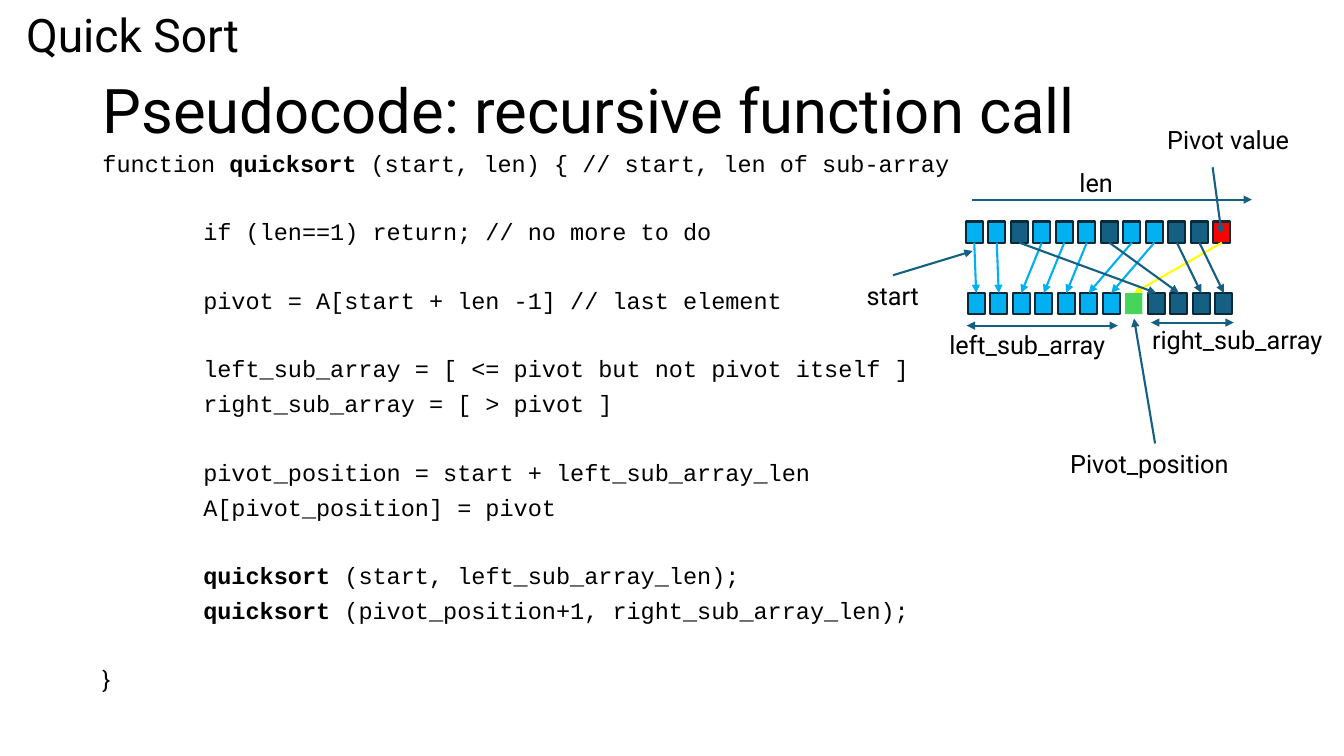
"""Build the quick sort pseudocode slide."""
from dataclasses import dataclass
from typing import Any

from lxml import etree
from pptx import Presentation
from pptx import util as u
from pptx.dml import color
from pptx.enum import shapes, text
from pptx.oxml import ns

HUES = {"b": "00B0F0", "d": "156082", "r": "FF0000", "g": "47D45A",
        "y": "FFFF00", "edge": "092A39", "ink": "000000"}
SANS, MONO = "Roboto", "Courier New"
TOP = "bbdbbbdbbddr"
STEP, WIDE, HIGH = 16.08, 12.24, 15.12
ROWS = ((689.8, 158.2), (691.2, 209.3))
LINE, GAP = 10.8, 34.9


@dataclass
class Code:
    lead: str
    bold: str
    rest: str
    tab: int = 72
    gap: float = LINE
    face: str = MONO


@dataclass
class Label:
    words: str
    left: float
    top: float
    width: float


@dataclass
class Arrow:
    start: tuple[float, float]
    end: tuple[float, float]
    hue: str = "d"
    both: bool = False


CODE = [
    Code("function ", "quicksort", " (start, len) { // start, len of sub-array", 0, 0),
    Code("if (len==1) return; // no more to do", "", "", gap=GAP),
    Code("pivot = A[start + len -1] // last element", "", "", gap=GAP),
    Code("left_sub_array = [ <= pivot but not pivot itself ]", "", "", gap=GAP),
    Code("right_sub_array = [ > pivot ]", "", ""),
    Code("pivot_position = start + left_sub_array_len", "", "", gap=GAP),
    Code("A[pivot_position] = pivot", "", ""),
    Code("", "quicksort", " (start, left_sub_array_len);", gap=GAP),
    Code("", "quicksort", " (pivot_position+1, right_sub_array_len);"),
    Code("}", "", "", 0, GAP, SANS),
]
LABELS = [
    Label("len", 763.9, 115.9, 40),
    Label("start", 612, 196.6, 53),
    Label("Pivot value", 826.6, 85, 110),
    Label("right_sub_array", 815.8, 228.2, 139),
    Label("left_sub_array", 671, 231.8, 138),
    Label("Pivot_position", 757.4, 316.8, 136),
]
ARROWS = [
    Arrow((694.1, 142.6), (894.2, 142.6)),
    Arrow((637.9, 196.6), (694.8, 179.3)),
    Arrow((866.2, 119.5), (872.6, 167)),
    Arrow((822.2, 230.4), (881.3, 230.4), both=True),
    Arrow((690.5, 232.6), (798.5, 232.6), both=True),
    Arrow((825.1, 316.8), (810, 227.5)),
]


def rgb(hue: str) -> color.RGBColor:
    """Return a named colour."""
    return color.RGBColor.from_string(HUES[hue])


def dress(item: Any, form: dict[str, Any]) -> None:
    """Set each format value on an object."""
    for key, value in form.items():
        setattr(item, key, value)


def place(item: Any, left: float, top: float, width: float, height: float) -> None:
    """Move and size a shape in points."""
    dress(item, {"left": u.Pt(left), "top": u.Pt(top),
                 "width": u.Pt(width), "height": u.Pt(height)})


def write(para: Any, words: str, size: float, face: str = SANS, bold: bool = False) -> None:
    """Add one formatted run."""
    run = para.add_run()
    run.text = words
    dress(run.font, {"size": u.Pt(size), "name": face, "bold": bold})
    run.font.color.rgb = rgb("ink")


def head(item: Any, words: str, size: float, space: float) -> None:
    """Fill a heading with one left aligned line."""
    dress(item.text_frame, {"word_wrap": True, "auto_size": text.MSO_AUTO_SIZE.NONE,
                            "vertical_anchor": text.MSO_ANCHOR.MIDDLE})
    para = item.text_frame.paragraphs[0]
    dress(para, {"alignment": text.PP_ALIGN.LEFT, "line_spacing": space})
    write(para, words, size)


def list_code(body: Any) -> None:
    """Write the pseudocode lines in the body."""
    frame = body.text_frame
    dress(frame, {"word_wrap": True, "auto_size": text.MSO_AUTO_SIZE.NONE,
                  "vertical_anchor": text.MSO_ANCHOR.TOP})
    for num, line in enumerate(CODE):
        para = frame.add_paragraph() if num else frame.paragraphs[0]
        prop = para._p.get_or_add_pPr()
        prop.set("marL", str(u.Pt(line.tab)))
        prop.set("indent", "0")
        etree.SubElement(prop, ns.qn("a:buNone"))
        dress(para, {"line_spacing": 0.7, "space_before": u.Pt(line.gap),
                     "space_after": u.Pt(0), "alignment": text.PP_ALIGN.LEFT})
        for words, bold in ((line.lead, False), (line.bold, True), (line.rest, False)):
            if words:
                write(para, words, 16.8, line.face, bold)


def draw_cell(tree: Any, row: int, col: int, hue: str) -> None:
    """Draw one array element."""
    left, top = ROWS[row]
    cell = tree.add_shape(shapes.MSO_SHAPE.RECTANGLE, 0, 0, 0, 0)
    place(cell, left + col * STEP, top, WIDE, HIGH)
    cell.shadow.inherit = False
    cell.fill.solid()
    cell.fill.fore_color.rgb = rgb(hue)
    if hue == "g":
        cell.line.fill.background()
    else:
        cell.line.color.rgb = rgb("edge")
        cell.line.width = u.Pt(1.5)


def draw_arrow(tree: Any, arrow: Arrow) -> None:
    """Draw a line with one or two arrowheads."""
    ends = [u.Pt(val) for val in arrow.start + arrow.end]
    link = tree.add_connector(shapes.MSO_CONNECTOR.STRAIGHT, *ends)
    link.line.color.rgb = rgb(arrow.hue)
    link.line.width = u.Pt(1.5)
    for tag in ("a:headEnd", "a:tailEnd")[0 if arrow.both else 1:]:
        etree.SubElement(link.line._get_or_add_ln(), ns.qn(tag), type="triangle")
    etree.SubElement(link._element.spPr, ns.qn("a:effectLst"))


def draw_label(tree: Any, label: Label) -> None:
    """Write a caption of the diagram."""
    box = tree.add_textbox(0, 0, 0, 0)
    place(box, label.left, label.top, label.width, 29)
    box.text_frame.word_wrap = True
    write(box.text_frame.paragraphs[0], label.words, 18)


def mid(row: int, col: int) -> tuple[float, float]:
    """Return the point where an arrow meets an element."""
    left, top = ROWS[row]
    return left + col * STEP + WIDE / 2, top + (0 if row else HIGH)


def draw_sort(tree: Any) -> None:
    """Draw both array rows and the moves between them."""
    order = sorted(range(len(TOP)), key=lambda col: "brd".index(TOP[col]))
    for col, hue in enumerate(TOP):
        draw_cell(tree, 0, col, hue)
    for col, old in enumerate(order):
        draw_cell(tree, 1, col, TOP[old].replace("r", "g"))
    for col, old in enumerate(order):
        draw_arrow(tree, Arrow(mid(0, old), mid(1, col), TOP[old].replace("r", "y")))


def main() -> None:
    """Build and save the slide."""
    deck = Presentation()
    dress(deck, {"slide_width": u.Pt(960), "slide_height": u.Pt(540)})
    slide = deck.slides.add_slide(deck.slide_layouts[1])
    tree = slide.shapes
    title, body = slide.placeholders
    place(title, 66, 28.8, 828, 104.4)
    head(title, "Pseudocode: recursive function call", 44, 0.9)
    place(body, 66, 108, 872, 399.6)
    list_code(body)
    draw_sort(tree)
    for arrow in ARROWS:
        draw_arrow(tree, arrow)
    for label in LABELS:
        draw_label(tree, label)
    topic = tree.add_textbox(0, 0, 0, 0)
    place(topic, 11.5, 9.4, 893.5, 39.6)
    head(topic, "Quick Sort", 33, 0.7)
    deck.save("out.pptx")


if __name__ == "__main__":
    main()
